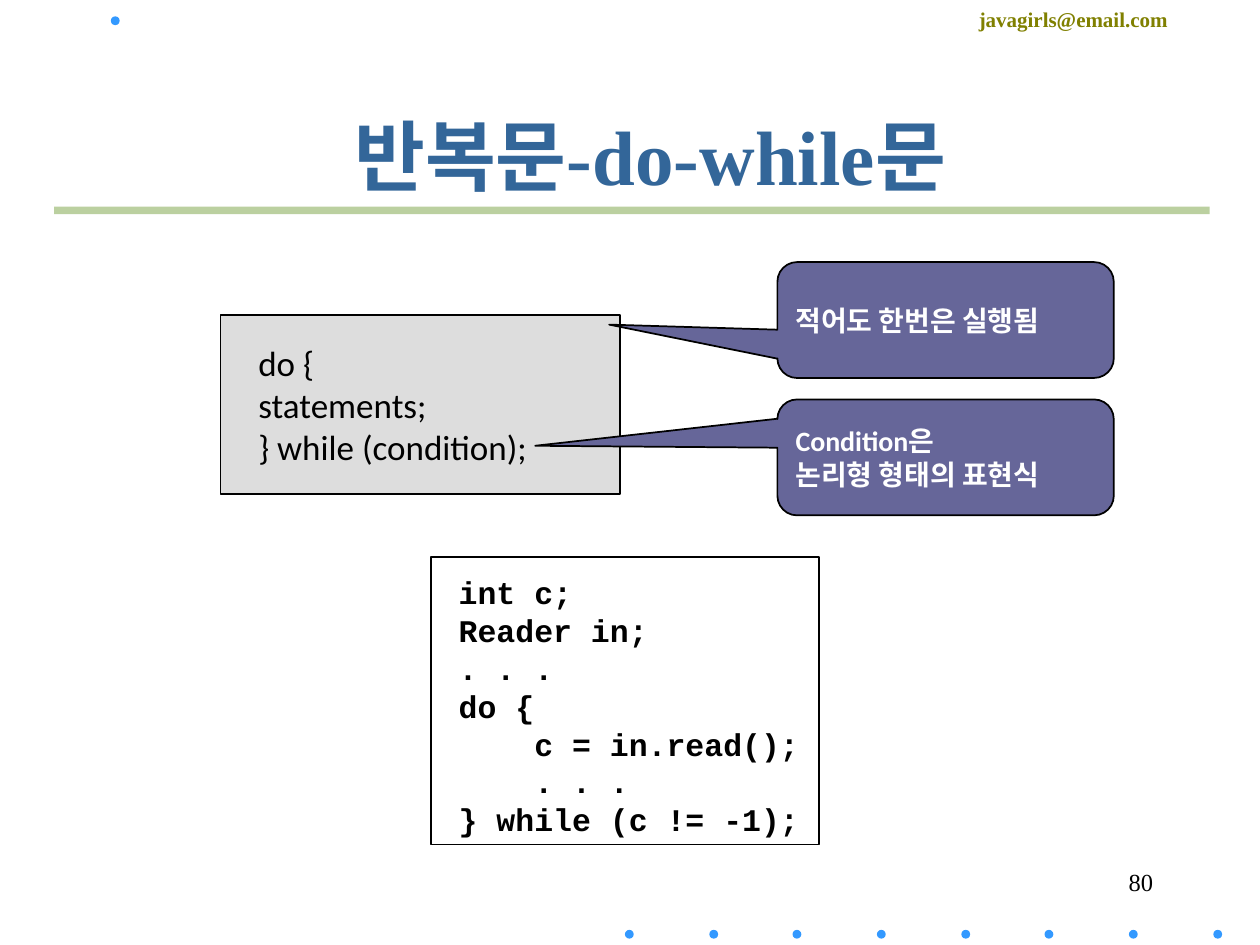
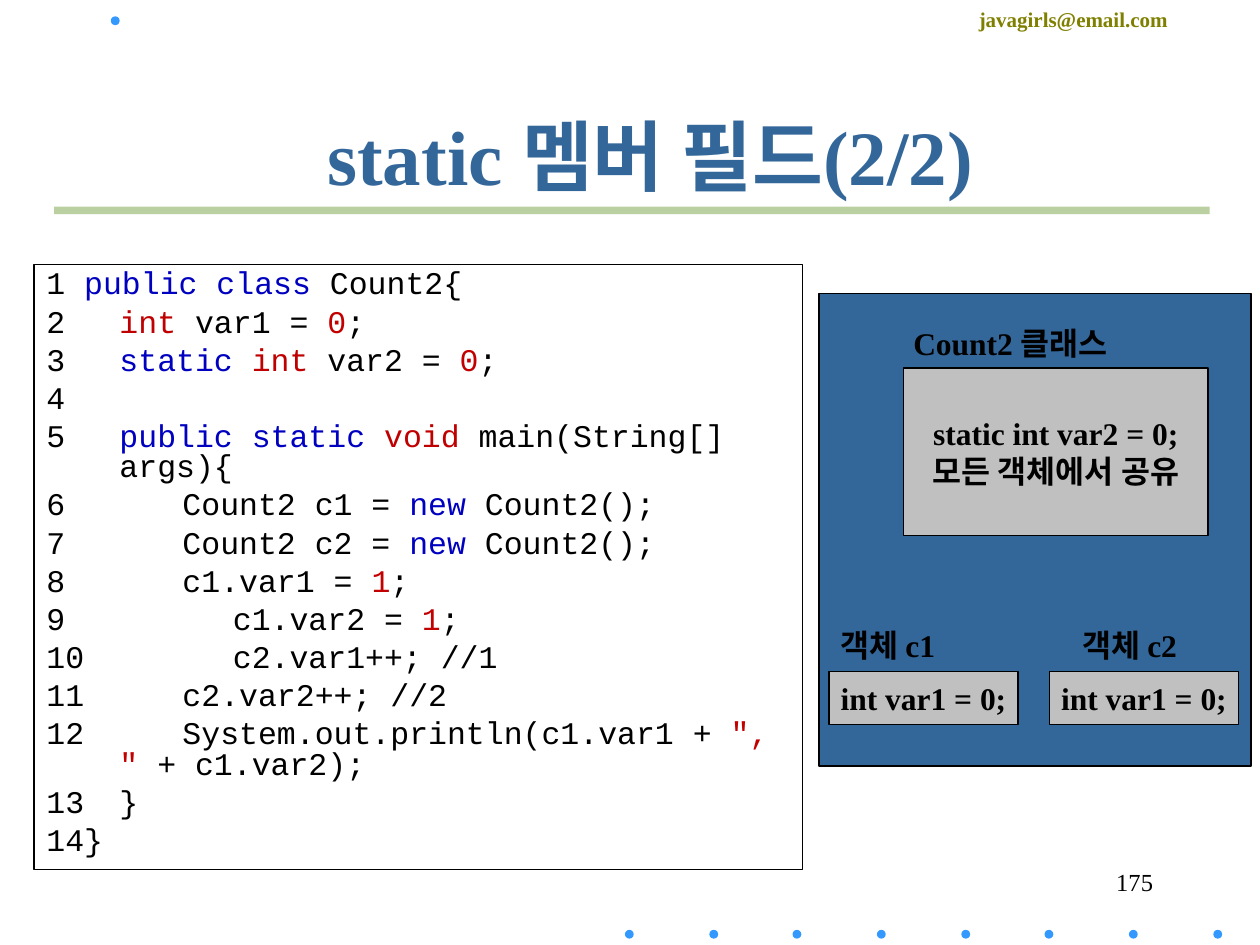
"""Build two Java lecture slides: the do-while loop and static member fields."""
from dataclasses import dataclass

from lxml import etree
from pptx import Presentation
from pptx import util as u
from pptx.dml.color import RGBColor
from pptx.enum import shapes, text
from pptx.oxml.ns import qn


@dataclass(frozen=True)
class Theme:
    blue: str = "336699"
    dot: str = "3399FF"
    band: str = "BBD0A0"
    olive: str = "808000"
    violet: str = "666699"
    pale: str = "DDDDDD"
    silver: str = "C0C0C0"
    black: str = "000000"
    white: str = "FFFFFF"
    keyword: str = "0000C0"
    kind: str = "C00000"
    literal: str = "C20000"
    serif: str = "Times New Roman"
    sans: str = "Calibri"
    mono: str = "Courier New"
    title: int = 44
    syntax: int = 20
    body: int = 18
    callout: int = 16
    number: int = 14
    address: int = 12


theme = Theme()
shape_kind = shapes.MSO_SHAPE
align = text.PP_ALIGN
middle = text.MSO_ANCHOR.MIDDLE


def add_box(page, kind, place, fill=None, line=None, width=1):
    """Add a preset shape, or a text box when kind is None."""
    lengths = [u.Inches(value) for value in place]
    if kind is None:
        return page.shapes.add_textbox(*lengths)
    box = page.shapes.add_shape(kind, *lengths)
    box.shadow.inherit = False
    if fill:
        box.fill.solid()
        box.fill.fore_color.rgb = RGBColor.from_string(fill)
    else:
        box.fill.background()
    if line:
        box.line.color.rgb = RGBColor.from_string(line)
        box.line.width = u.Pt(width)
    else:
        box.line.fill.background()
    return box


def write(box, words, size, font=theme.serif, color=theme.black, bold=True,
          side=align.LEFT, anchor=middle, wrap=False):
    """Fill a shape with uniformly formatted text."""
    frame = box.text_frame
    frame.text = words
    frame.word_wrap = wrap
    frame.auto_size = text.MSO_AUTO_SIZE.NONE
    frame.vertical_anchor = anchor
    for para in frame.paragraphs:
        para.alignment = side
        for span in para.runs:
            span.font.size = u.Pt(size)
            span.font.name = font
            span.font.bold = bold
            span.font.color.rgb = RGBColor.from_string(color)
    return frame


deck = Presentation()
deck.slide_width, deck.slide_height = u.Inches(10), u.Inches(7.5)
top = text.MSO_ANCHOR.TOP

dots = [(4.96 + 2 / 3 * step, 7.38) for step in range(8)] + [(0.88, 0.13)]
for heading, number in (("반복문-do-while문", "80"), ("static 멤버 필드(2/2)", "175")):
    page = deck.slides.add_slide(deck.slide_layouts[5])
    for left, height in dots:
        add_box(page, shape_kind.OVAL, (round(left, 2), height, 0.07, 0.07), theme.dot)
    address = add_box(page, None, (7.67, 0, 2.33, 0.3))
    write(address, "javagirls@email.com", theme.address, color=theme.olive,
          anchor=top, wrap=True)
    add_box(page, shape_kind.RECTANGLE, (0.43, 1.64, 9.17, 0.06), theme.band)
    footer = add_box(page, None, (7.17, 6.83, 2.08, 0.5))
    write(footer, number, theme.number, bold=False, side=align.RIGHT, anchor=top, wrap=True)
    title = page.shapes.title
    title.left, title.top = u.Inches(0.75), u.Inches(0.6)
    title.width, title.height = u.Inches(8.82), u.Inches(1.25)
    write(title, heading, theme.title, color=theme.blue, side=align.CENTER, wrap=True)

loop_page, static_page = deck.slides

syntax = add_box(loop_page, shape_kind.RECTANGLE, (1.75, 2.5, 3.17, 1.42),
                 theme.pale, theme.black)
frame = write(syntax, "do {\nstatements;\n} while (condition);", theme.syntax,
              theme.sans, bold=False)
frame.margin_left = u.Inches(0.3)

example = add_box(loop_page, shape_kind.RECTANGLE, (3.42, 4.42, 3.08, 2.28),
                  line=theme.black, width=0.75)
example_code = """int c;
Reader in;
. . .
do {
    c = in.read();
    . . .
} while (c != -1);"""
frame = write(example, example_code, theme.body, theme.mono, wrap=True)
frame.margin_left, frame.margin_top = u.Inches(0.22), u.Inches(0.13)

callouts = (
    (3.17, (-1.22, -0.1, 0.17), "Condition은\n논리형 형태의 표현식"),
    (2.08, (-1, 0.04, 0.17), "적어도 한번은 실행됨"),
)
for height, pointer, words in callouts:
    callout = add_box(loop_page, shape_kind.ROUNDED_RECTANGULAR_CALLOUT,
                      (6.17, height, 2.67, 0.92), theme.violet, theme.black)
    for index, value in enumerate(pointer):
        callout.adjustments[index] = value
    write(callout, words, theme.callout, theme.sans, theme.white)

add_box(static_page, shape_kind.RECTANGLE, (6.5, 2.33, 3.43, 3.75), theme.blue, theme.black)

plain, key, kind, value = theme.black, theme.keyword, theme.kind, theme.literal
listing = (
    (("1 ", plain), ("public class", key), (" Count2{", plain)),
    (("2\t", plain), ("int", kind), (" var1 = ", plain), ("0", value), (";", plain)),
    (("3\t", plain), ("static ", key), ("int", kind), (" var2 = ", plain),
     ("0", value), (";", plain)),
    (("4\t", plain),),
    (("5\t", plain), ("public static ", key), ("void", kind),
     (" main(String[] args){", plain)),
    (("6\t\tCount2 c1 = ", plain), ("new", key), (" Count2();", plain)),
    (("7\t\tCount2 c2 = ", plain), ("new", key), (" Count2();", plain)),
    (("8\t\tc1.var1 = ", plain), ("1", value), (";", plain)),
    (("      c1.var2 = ", plain), ("1", value), (";", plain)),
    (("      c2.var1++; //1", plain),),
    (("11\t\tc2.var2++; //2", plain),),
    (("12\t\tSystem.out.println(c1.var1 + ", plain), ('", "', value),
     (" + c1.var2);", plain)),
    (("13\t}", plain),),
    (("14}", plain),),
)
code = add_box(static_page, shape_kind.RECTANGLE, (0.27, 2.1, 6.1, 4.8),
               line=theme.black, width=0.75)
frame = code.text_frame
frame.word_wrap = True
frame.vertical_anchor = top
for index, pieces in enumerate(listing):
    para = frame.add_paragraph() if index else frame.paragraphs[0]
    props = para._p.get_or_add_pPr()
    props.set("marL", str(u.Inches(0.58)))
    props.set("indent", str(-u.Inches(0.58)))
    if pieces[0][0].startswith(" "):
        etree.SubElement(props, qn("a:buAutoNum"), type="arabicPlain", startAt="9")
    tabs = etree.SubElement(props, qn("a:tabLst"))
    for stop in range(2):
        etree.SubElement(tabs, qn("a:tab"), pos=str(u.Inches(stop)), algn="l")
    para.alignment = align.LEFT
    para.line_spacing = 0.8
    para.space_before = u.Pt(4.5 if index else 0)
    for words, color in pieces:
        span = para.add_run()
        span.text = words
        span.font.size = u.Pt(theme.body)
        span.font.name = theme.mono
        span.font.color.rgb = RGBColor.from_string(color)

fields = (
    ((7.17, 2.92, 2.42, 1.33), "static int var2 = 0;\n모든 객체에서 공유"),
    ((6.58, 5.33, 1.5, 0.42), "int var1 = 0;"),
    ((8.33, 5.33, 1.5, 0.42), "int var1 = 0;"),
)
for place, words in fields:
    field = add_box(static_page, shape_kind.RECTANGLE, place, theme.silver, theme.black)
    write(field, words, theme.body, side=align.CENTER)

labels = (
    ((7.15, 2.52, 1.8, 0.4), "Count2 클래스"),
    ((6.57, 4.92, 1.02, 0.4), "객체 c1"),
    ((8.49, 4.92, 1.02, 0.4), "객체 c2"),
)
for place, words in labels:
    write(add_box(static_page, None, place), words, theme.body, anchor=top)

deck.save("out.pptx")
